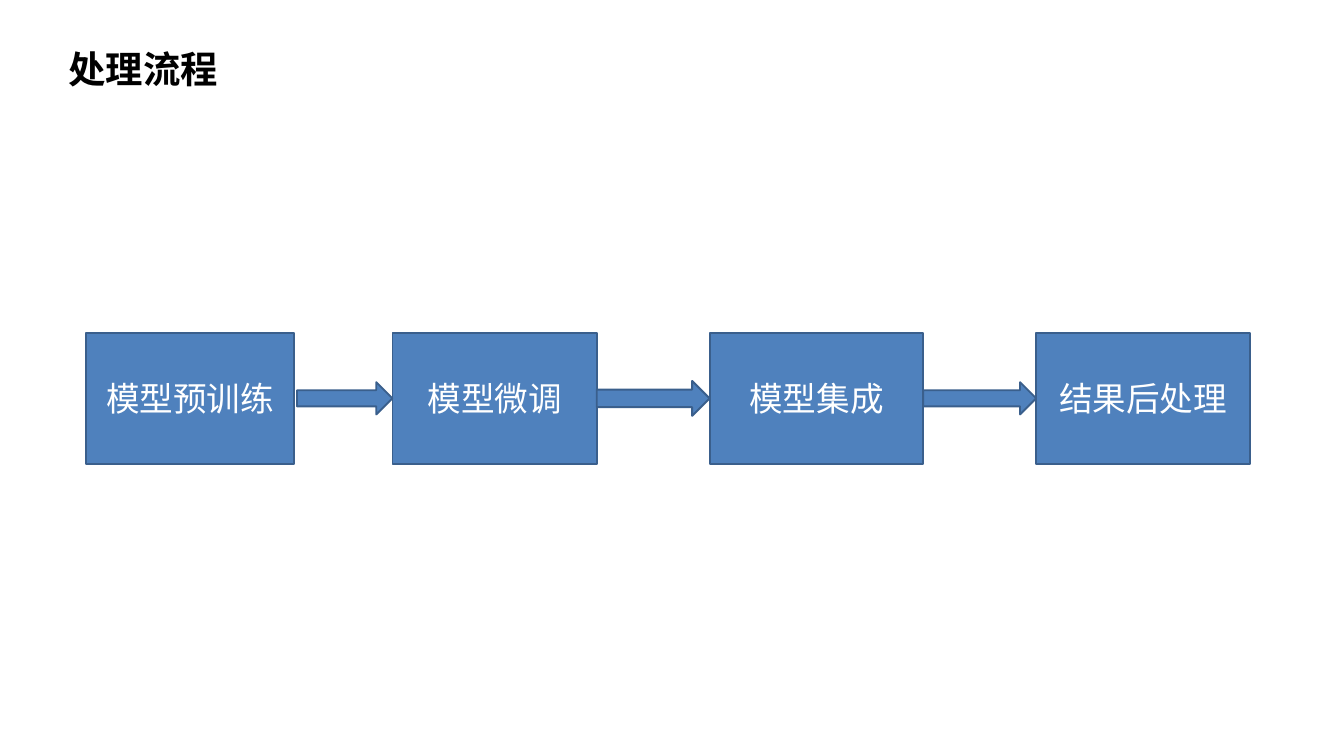
from pptx import Presentation
from pptx.dml.color import RGBColor
from pptx.enum.shapes import MSO_SHAPE
from pptx.enum.text import MSO_ANCHOR, PP_ALIGN
from pptx.util import Inches, Pt

RECTANGLE, RIGHT_ARROW = MSO_SHAPE.RECTANGLE, MSO_SHAPE.RIGHT_ARROW
MIDDLE = MSO_ANCHOR.MIDDLE
LEFT, CENTER = PP_ALIGN.LEFT, PP_ALIGN.CENTER

BLACK = RGBColor(0x00, 0x00, 0x00)
WHITE = RGBColor(0xFF, 0xFF, 0xFF)
BLUE = RGBColor(0x4F, 0x81, 0xBD)
DARK_BLUE = RGBColor(0x3A, 0x5F, 0x8C)

# A 16:9 slide with a grid of 100 columns by 100 rows
SLIDE_WIDTH = Inches(10)
SLIDE_HEIGHT = SLIDE_WIDTH * 9 // 16
COLUMN, ROW = SLIDE_WIDTH / 100, SLIDE_HEIGHT / 100

# Regions: left, top, width, height in columns and rows
TITLE_BOX = (4.1, 4.98, 79, 8.18)
FLOW_BOX = (6.4, 44, 86.6, 17.4)

# Steps: label, offset from the left of the flow, width
STEPS = [
    ("模型预训练", 0, 15.5),
    ("模型微调", 22.8, 15.2),
    ("模型集成", 46.4, 15.9),
    ("结果后处理", 70.7, 15.9),
]
# Arrows: gap after the step before, height
ARROWS = [(0.2, 4.27), (0, 4.63), (0, 4.27)]


def on_grid(left, top, width, height):
    return [round(n) for n in (left * COLUMN, top * ROW, width * COLUMN, height * ROW)]


def write_text(shape, text, *, font, size, color, bold=False, align=LEFT):
    frame = shape.text_frame
    frame.word_wrap = True
    frame.vertical_anchor = MIDDLE
    para = frame.paragraphs[0]
    para.alignment = align
    span = para.add_run()
    span.text = text
    span.font.name = font
    span.font.size = Pt(size)
    span.font.bold = bold
    span.font.color.rgb = color


def add_blue_shape(group, kind, box):
    shape = group.shapes.add_shape(kind, *on_grid(*box))
    shape.shadow.inherit = False
    shape.fill.solid()
    shape.fill.fore_color.rgb = BLUE
    shape.line.color.rgb = DARK_BLUE
    shape.line.width = Pt(1)
    return shape


def add_title(page, box):
    title = page.shapes.add_textbox(*on_grid(*box))
    write_text(title, "处理流程", font="Times New Roman", size=20, color=BLACK, bold=True)


def add_flow(page, box):
    left, top, _, height = box
    group = page.shapes.add_group_shape()

    # Step boxes
    for label, offset, width in STEPS:
        step = add_blue_shape(group, RECTANGLE, (left + offset, top, width, height))
        write_text(step, label, font="Calibri", size=18, color=WHITE, align=CENTER)

    # Arrows fill the gaps between neighbouring steps
    for before, after, (gap, thickness) in zip(STEPS, STEPS[1:], ARROWS):
        start = before[1] + before[2] + gap
        arrow_top = top + (height - thickness) / 2
        add_blue_shape(group, RIGHT_ARROW,
                       (left + start, arrow_top, after[1] - start, thickness))


def main():
    deck = Presentation()
    deck.slide_width, deck.slide_height = SLIDE_WIDTH, SLIDE_HEIGHT
    page = deck.slides.add_slide(deck.slide_layouts[6])
    add_title(page, TITLE_BOX)
    add_flow(page, FLOW_BOX)
    deck.save("out.pptx")


if __name__ == "__main__":
    main()
